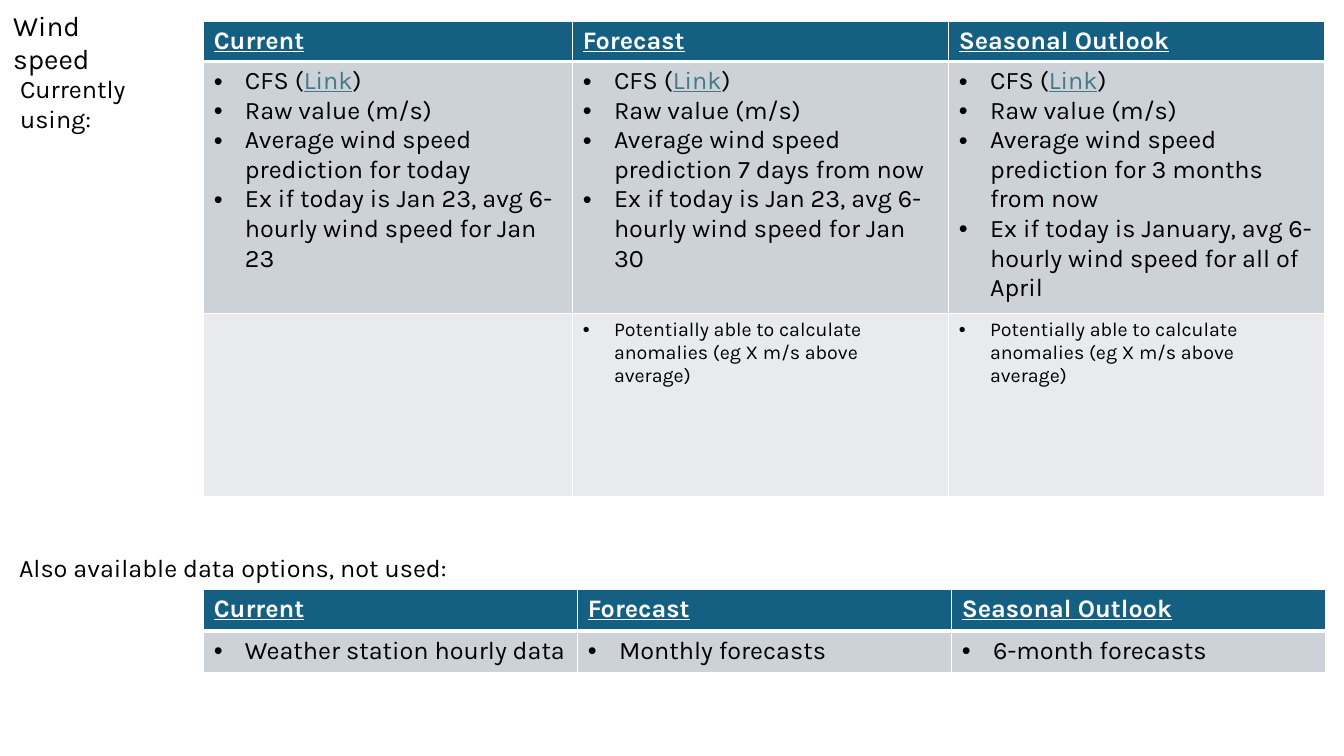
from dataclasses import dataclass

from lxml.etree import SubElement
from pptx import Presentation
from pptx.dml.color import RGBColor
from pptx.enum.text import MSO_ANCHOR, MSO_AUTO_SIZE, PP_ALIGN
from pptx.oxml import parse_xml
from pptx.oxml.ns import nsdecls, qn
from pptx.util import Inches, Pt


@dataclass(frozen=True)
class Theme:
    """Colours, typeface and type sizes of the slide."""
    font: str = "Karla"
    title: int = 20
    body: int = 18
    note: int = 14
    ink: str = "000000"
    white: str = "FFFFFF"
    header: str = "156082"
    link: str = "467886"
    bands: tuple = ("CCD2D8", "E8EAED")


THEME = Theme()
LINK = "Link"
HEADINGS = ["Current", "Forecast", "Seasonal Outlook"]
ANOMALIES = ["Potentially able to calculate anomalies (eg X m/s above average)"]


def usage(period, example):
    """Return the bullets that describe the wind data in use."""
    return [
        f"CFS ({LINK})",
        "Raw value (m/s)",
        f"Average wind speed prediction {period}",
        f"Ex if today is {example}",
    ]


def style(font, size, color=THEME.ink, strong=False):
    """Format a font, bold and underlined where strong."""
    font.name = THEME.font
    font.size = Pt(size)
    font.bold = font.underline = strong
    font.color.rgb = RGBColor.from_string(color)


def fill_label(label, text, size):
    """Write one top-left text into a label that grows with it."""
    frame = label.text_frame
    frame.word_wrap = True
    frame.auto_size = MSO_AUTO_SIZE.SHAPE_TO_FIT_TEXT
    frame.vertical_anchor = MSO_ANCHOR.TOP
    paragraph = frame.paragraphs[0]
    paragraph.text = text
    paragraph.alignment = PP_ALIGN.LEFT
    style(paragraph.font, size)


def add_title(slide, text, left, top, width, height):
    """Place and format the slide title."""
    title = slide.shapes.title
    title.left, title.top = Inches(left), Inches(top)
    title.width, title.height = Inches(width), Inches(height)
    fill_label(title, text, THEME.title)


def add_label(slide, text, left, top, width, height):
    """Add a section label."""
    label = slide.shapes.add_textbox(
        Inches(left), Inches(top), Inches(width), Inches(height))
    fill_label(label, text, THEME.body)


def add_bullet(paragraph):
    """Give a paragraph a hanging round bullet."""
    properties = paragraph._p.get_or_add_pPr()
    properties.set("marL", str(Inches(0.31)))
    properties.set("indent", str(-Inches(0.31)))
    properties.insert(0, parse_xml(f'<a:buFont {nsdecls("a")} typeface="Arial"/>'))
    properties.insert(1, parse_xml(f'<a:buChar {nsdecls("a")} char="•"/>'))


def set_cell(cell, color, top=1, bottom=1):
    """Fill a cell and draw its white borders, in points."""
    cell.fill.solid()
    cell.fill.fore_color.rgb = RGBColor.from_string(color)
    properties = cell._tc.get_or_add_tcPr()
    borders = {"lnL": 1, "lnR": 1, "lnT": top, "lnB": bottom}
    for order, (side, weight) in enumerate(borders.items()):
        border = parse_xml(f'<a:{side} {nsdecls("a")} w="{Pt(weight)}"/>')
        paint = SubElement(border, qn("a:solidFill"))
        SubElement(paint, qn("a:srgbClr"), val=THEME.white)
        properties.insert(order, border)


def write_bullets(cell, bullets, size):
    """Write a bulleted list, with the link word coloured."""
    frame = cell.text_frame
    for index, bullet in enumerate(bullets):
        paragraph = frame.add_paragraph() if index else frame.paragraphs[0]
        style(paragraph.font, size)
        add_bullet(paragraph)
        before, link, after = bullet.partition(LINK)
        for part in filter(None, (before, link, after)):
            run = paragraph.add_run()
            run.text = part
            if part == LINK:
                run.font.underline = True
                run.font.color.rgb = RGBColor.from_string(THEME.link)


def add_options_table(slide, top, widths, heights, rows, sizes):
    """Add a table of data options below the shared headings."""
    table = slide.shapes.add_table(
        len(heights), len(widths), Inches(2.02), Inches(top),
        Inches(sum(widths)), Inches(sum(heights))).table
    for column, width in zip(table.columns, widths):
        column.width = Inches(width)
    for row, height in zip(table.rows, heights):
        row.height = Inches(height)
    for column, heading in enumerate(HEADINGS):
        cell = table.cell(0, column)
        set_cell(cell, THEME.header, bottom=3)
        cell.text = heading
        style(cell.text_frame.paragraphs[0].font, THEME.body, THEME.white, True)
    for index, (options, size) in enumerate(zip(rows, sizes)):
        for column, bullets in enumerate(options):
            cell = table.cell(index + 1, column)
            set_cell(cell, THEME.bands[index], top=1 if index else 3)
            write_bullets(cell, bullets, size)


def main():
    """Build the wind speed slide."""
    deck = Presentation()
    deck.slide_width, deck.slide_height = Inches(13.33), Inches(7.5)
    slide = deck.slides.add_slide(deck.slide_layouts[5])

    add_title(slide, "Wind speed", 0.03, 0.03, 1.64, 0.44)
    add_label(slide, "Also available data options, not used:", 0.09, 5.43, 4.85, 0.4)
    add_label(slide, "Currently using:", 0.1, 0.68, 1.92, 0.4)

    in_use = [
        usage("for today", "Jan 23, avg 6-hourly wind speed for Jan 23"),
        usage("7 days from now", "Jan 23, avg 6-hourly wind speed for Jan 30"),
        usage("for 3 months from now",
              "January, avg 6-hourly wind speed for all of April"),
    ]
    add_options_table(slide, 0.21, [3.66, 3.73, 3.73], [0.4, 2.5, 1.82],
                      [in_use, [[], ANOMALIES, ANOMALIES]],
                      [THEME.body, THEME.note])

    not_used = [["Weather station hourly data"], ["Monthly forecasts"],
                ["6-month forecasts"]]
    add_options_table(slide, 5.85, [3.71] * 3, [0.41] * 2, [not_used], [THEME.body])

    deck.save("out.pptx")


if __name__ == "__main__":
    main()
